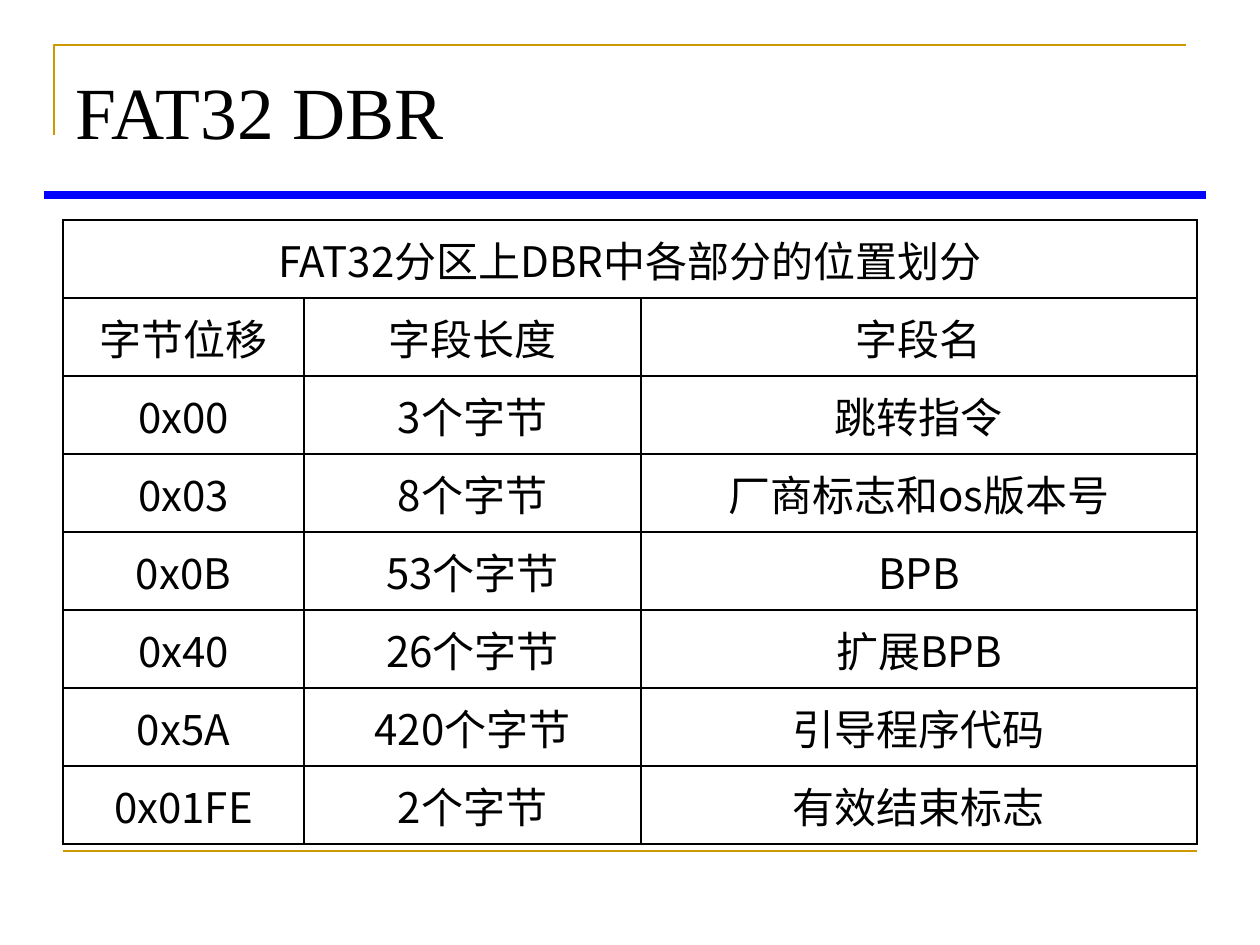
from lxml import etree
from pptx import Presentation
from pptx.dml.color import RGBColor
from pptx.enum.shapes import MSO_CONNECTOR
from pptx.enum.text import MSO_ANCHOR, PP_ALIGN
from pptx.oxml.ns import qn
from pptx.util import Pt

SCALE = 914400 / 126
BLACK = RGBColor(0, 0, 0)
GOLD = RGBColor(0xCC, 0x99, 0)
BLUE = RGBColor(0, 0, 0xFF)
MIDDLE = MSO_ANCHOR.MIDDLE
LEFT, CENTER = PP_ALIGN.LEFT, PP_ALIGN.CENTER
STRAIGHT = MSO_CONNECTOR.STRAIGHT
SANS = "Noto Sans CJK SC"

HEAD = {"name": "Times New Roman", "size": Pt(42), "bold": False}
BODY = {"name": SANS, "size": Pt(24), "bold": False}
COLS = [241, 337, 556]
HIGH = 78
ROWS = [
    ["FAT32分区上DBR中各部分的位置划分", "", ""],
    ["字节位移", "字段长度", "字段名"],
    ["0x00", "3个字节", "跳转指令"],
    ["0x03", "8个字节", "厂商标志和os版本号"],
    ["0x0B", "53个字节", "BPB"],
    ["0x40", "26个字节", "扩展BPB"],
    ["0x5A", "420个字节", "引导程序代码"],
    ["0x01FE", "2个字节", "有效结束标志"],
]


def px(num):
    return round(num * SCALE)


def box(*nums):
    return [px(num) for num in nums]


def write(frame, text, style, align):
    frame.vertical_anchor = MIDDLE
    para = frame.paragraphs[0]
    para.alignment = align
    run = para.add_run()
    run.text = text
    for key, val in style.items():
        setattr(run.font, key, val)
    run.font.color.rgb = BLACK
    east = etree.SubElement(run.font._element, qn("a:ea"))
    east.set("typeface", style["name"])


def add_title(slide, text):
    title = slide.shapes.title
    spot = dict(zip(("left", "top", "width", "height"), box(63, 55, 1134, 110)))
    for key, val in spot.items():
        setattr(title, key, val)
    title.text_frame.word_wrap = True
    write(title.text_frame, text, HEAD, LEFT)


def add_frame(slide):
    pen = slide.shapes.build_freeform(px(54), px(135), scale=1)
    pen.add_line_segments([box(54, 45), box(1186, 45)], close=False)
    shape = pen.convert_to_shape()
    shape.shadow.inherit = False
    shape.fill.background()
    shape.line.color.rgb = GOLD
    shape.line.width = Pt(1.5)


def add_rule(slide, left, right, top, color, width):
    rule = slide.shapes.add_connector(STRAIGHT, *box(left, top, right, top))
    rule.line.color.rgb = color
    rule.line.width = Pt(width)
    etree.SubElement(rule._element.spPr, qn("a:effectLst"))


def add_edges(cell):
    props = cell._tc.get_or_add_tcPr()
    for spot, side in enumerate(("lnL", "lnR", "lnT", "lnB")):
        edge = etree.Element(qn("a:" + side), w=str(Pt(1)))
        fill = etree.SubElement(edge, qn("a:solidFill"))
        etree.SubElement(fill, qn("a:srgbClr"), val=str(BLACK))
        props.insert(spot, edge)


def add_grid(slide):
    place = box(63, 220, sum(COLS), HIGH * len(ROWS))
    table = slide.shapes.add_table(len(ROWS), len(COLS), *place).table
    table.first_row = table.horz_banding = False
    for col, wide in zip(table.columns, COLS):
        col.width = px(wide)
    for row, texts in zip(table.rows, ROWS):
        row.height = px(HIGH)
        for cell, text in zip(row.cells, texts):
            cell.fill.background()
            add_edges(cell)
            cell.vertical_anchor = MIDDLE
            if text:
                write(cell.text_frame, text, BODY, CENTER)
    table.cell(0, 0).merge(table.cell(0, len(COLS) - 1))


def main():
    deck = Presentation()
    deck.slide_width, deck.slide_height = box(1260, 945)
    slide = deck.slides.add_slide(deck.slide_layouts[5])
    add_frame(slide)
    add_rule(slide, 63, 1197, 851, GOLD, 1.5)
    add_rule(slide, 44, 1206, 195, BLUE, 4.75)
    add_title(slide, "FAT32 DBR")
    add_grid(slide)
    deck.save("out.pptx")


if __name__ == "__main__":
    main()
